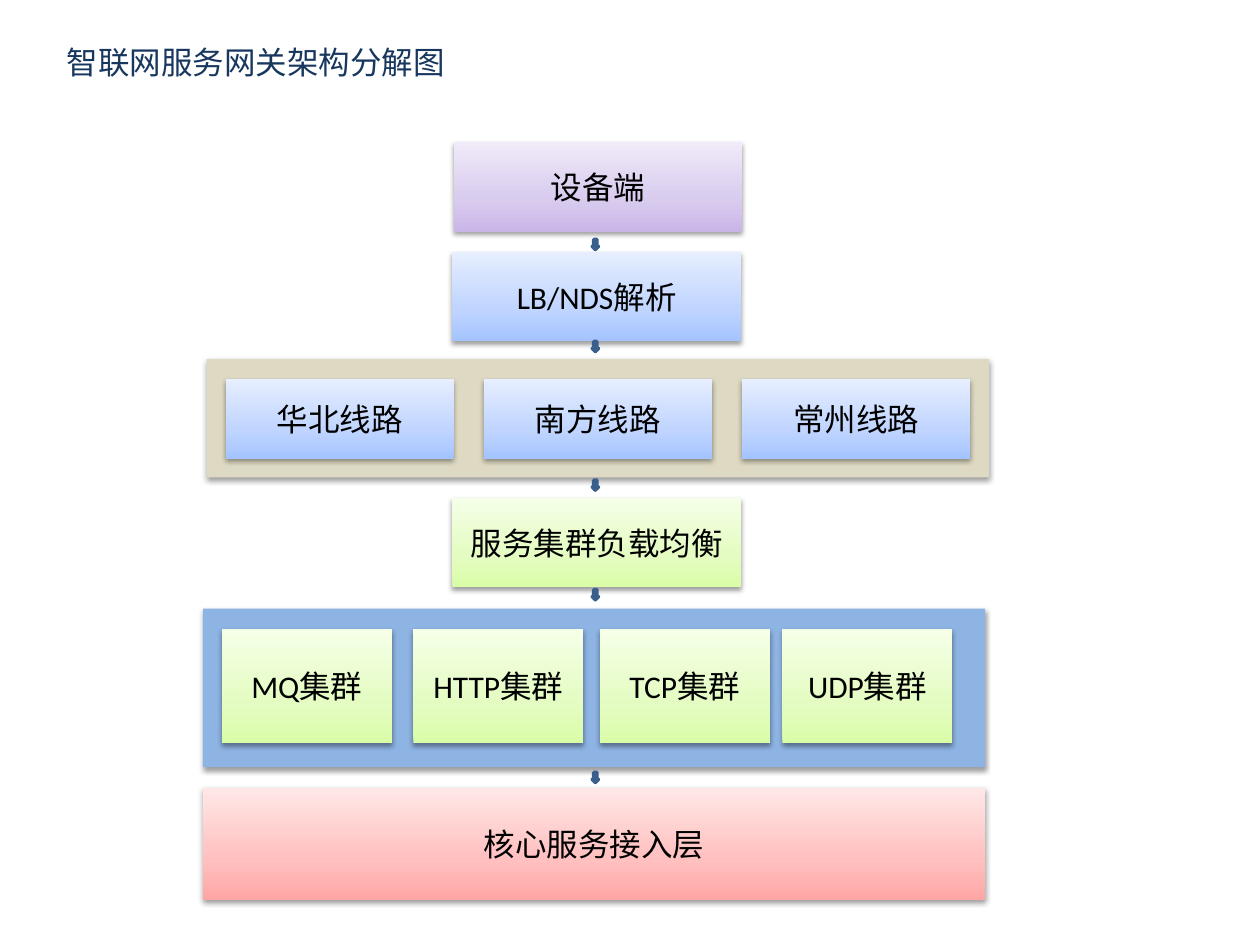
from copy import deepcopy

from lxml import etree
from pptx import Presentation
from pptx.dml.color import RGBColor
from pptx.enum.shapes import MSO_SHAPE as SHAPE
from pptx.enum.text import MSO_ANCHOR as ANCHOR, PP_ALIGN as ALIGN
from pptx.oxml.ns import qn
from pptx.util import Inches, Pt

COLORS = {
    "title": "17375E", "text": "000000", "sand": "DDD9C3", "sky": "8EB4E3",
    "arrow": "4F81BD", "arrow_line": "3A5F8C", "shadow": "000000",
}
# Gradient stops from the bottom edge to the top edge
GRADIENTS = {
    "purple": ("C9B5E8", "D8CBEE", "F0EAF9"),
    "blue": ("A4C4FF", "BFD4FF", "E6EEFF"),
    "green": ("DAFDA7", "E4FCC2", "F5FFE7"),
    "red": ("FFA6A5", "FFC0BF", "FFE7E7"),
}
STOP_POSITIONS = (0, 0.35, 1)


def write(box, text, color="text", align=ALIGN.CENTER, anchor=ANCHOR.MIDDLE):
    frame = box.text_frame
    frame.word_wrap = True
    frame.vertical_anchor = anchor
    para = frame.paragraphs[0]
    para.alignment = align
    span = para.add_run()
    span.text = text
    span.font.name = "Calibri"
    span.font.size = Pt(18)
    span.font.color.rgb = RGBColor.from_string(COLORS[color])


def add_block(left, top, width, height, fill, text=None):
    """Add a shadowed rectangle; fill names a gradient or a plain colour."""
    block = page.shapes.add_shape(
        SHAPE.RECTANGLE, Inches(left), Inches(top), Inches(width), Inches(height))
    block.line.fill.background()
    if fill in GRADIENTS:
        block.fill.gradient()
        block.fill.gradient_angle = 90
        stop_list = block.fill._fill._gradFill.find(qn("a:gsLst"))
        stop_list.insert(1, deepcopy(stop_list[0]))
        for stop, position, color in zip(
                block.fill.gradient_stops, STOP_POSITIONS, GRADIENTS[fill]):
            stop.position = position
            stop.color.rgb = RGBColor.from_string(color)
    else:
        block.fill.solid()
        block.fill.fore_color.rgb = RGBColor.from_string(COLORS[fill])

    block.shadow.inherit = False
    effects = block._element.spPr.find(qn("a:effectLst"))
    shadow = etree.SubElement(
        effects, qn("a:outerShdw"), blurRad=str(Pt(3.1)), dist=str(Pt(1.6)),
        dir="5400000", rotWithShape="0")
    shade = etree.SubElement(shadow, qn("a:srgbClr"), val=COLORS["shadow"])
    etree.SubElement(shade, qn("a:alpha"), val="38000")
    if text:
        write(block, text)


deck = Presentation()
deck.slide_width, deck.slide_height = Inches(10), Inches(7.5)
page = deck.slides.add_slide(deck.slide_layouts[6])

title = page.shapes.add_textbox(Inches(0.43), Inches(0.29), Inches(5.91), Inches(0.51))
write(title, "智联网服务网关架构分解图", color="title", align=ALIGN.LEFT, anchor=ANCHOR.TOP)

# Single steps down the middle
for left, top, fill, text in (
        (3.6, 1.13, "purple", "设备端"),
        (3.59, 2, "blue", "LB/NDS解析"),
        (3.59, 3.95, "green", "服务集群负载均衡")):
    add_block(left, top, 2.29, 0.71, fill, text)

# Network lines
add_block(1.64, 2.85, 6.21, 0.94, "sand")
for index, text in enumerate(("华北线路", "南方线路", "常州线路")):
    add_block(1.79 + 2.05 * index, 3.01, 1.81, 0.63, "blue", text)

# Protocol clusters
add_block(1.61, 4.83, 6.21, 1.26, "sky")
for left, protocol in ((1.76, "MQ"), (3.28, "HTTP"), (4.76, "TCP"), (6.21, "UDP")):
    add_block(left, 4.99, 1.35, 0.91, "green", protocol + "集群")

add_block(1.61, 6.25, 6.21, 0.89, "red", "核心服务接入层")

for top in (1.9, 2.71, 3.81, 4.68, 6.13):
    arrow = page.shapes.add_shape(
        SHAPE.DOWN_ARROW, Inches(4.7), Inches(top), Inches(0.05), Inches(0.08))
    arrow.shadow.inherit = False
    arrow.fill.solid()
    arrow.fill.fore_color.rgb = RGBColor.from_string(COLORS["arrow"])
    arrow.line.color.rgb = RGBColor.from_string(COLORS["arrow_line"])
    arrow.line.width = Pt(2)

deck.save("out.pptx")
